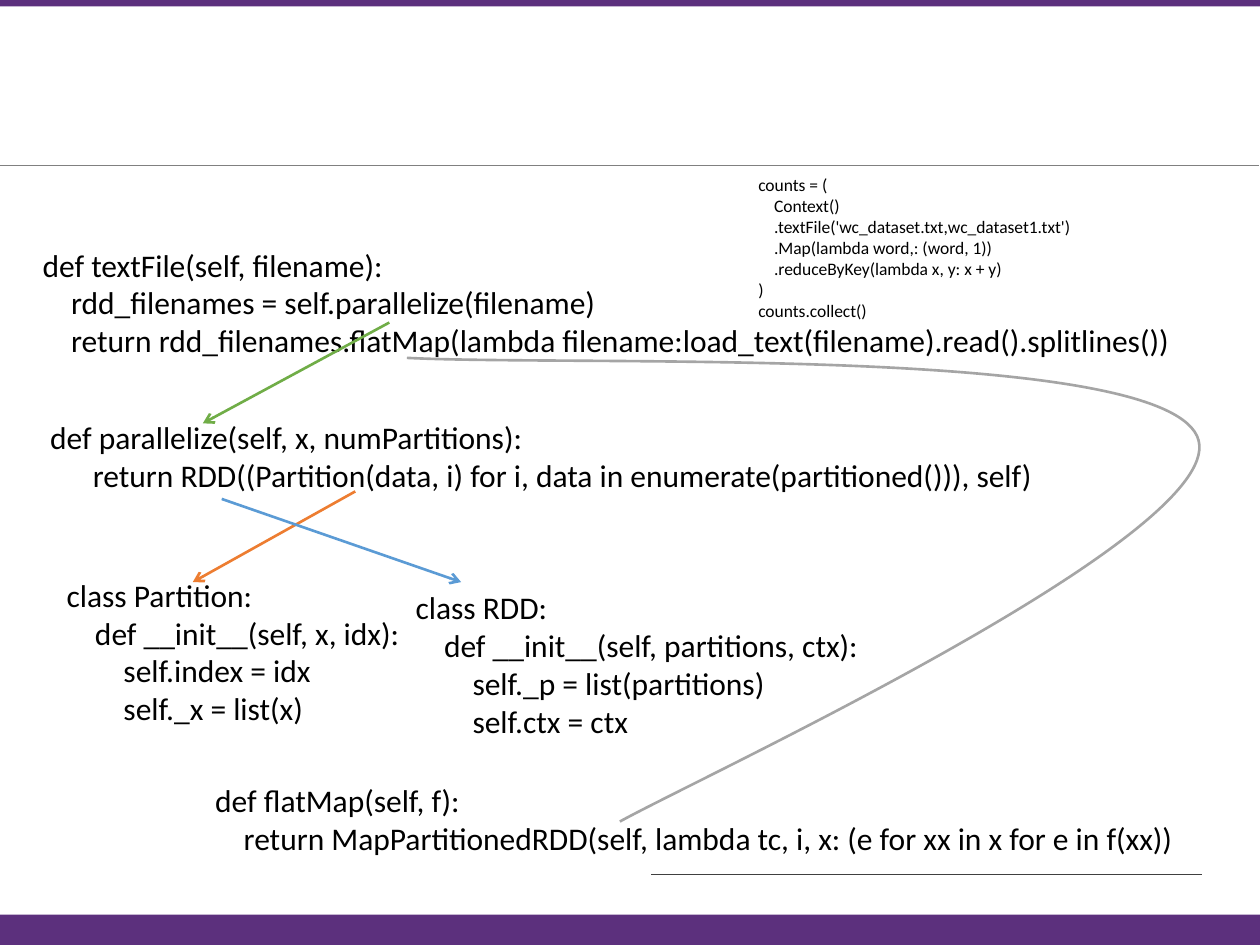
from dataclasses import dataclass

from lxml import etree
from pptx import Presentation
from pptx import util as u
from pptx.dml.color import RGBColor
from pptx.enum import shapes, text
from pptx.oxml.ns import qn


@dataclass(frozen=True)
class Theme:
    font: str = "Calibri"
    code_size: int = 18
    sample_size: int = 10
    space_width: float = 0.226
    ink: str = "000000"
    band: str = "5C307D"
    header_rule: str = "808080"
    footer_rule: str = "404040"
    orange: str = "ED7D31"
    blue: str = "5B9BD5"
    green: str = "70AD47"
    gray: str = "A5A5A5"
    rule_width: float = 0.5
    arrow_width: float = 1.5


THEME = Theme()

TEXT_FILE = """def textFile(self, filename):
    rdd_filenames = self.parallelize(filename)
    return rdd_filenames.flatMap(lambda filename:load_text(filename).read().splitlines())"""

PARALLELIZE = """def parallelize(self, x, numPartitions):
      return RDD((Partition(data, i) for i, data in enumerate(partitioned())), self)"""

PARTITION = """class Partition:
    def __init__(self, x, idx):
        self.index = idx
        self._x = list(x)"""

RDD = """class RDD:
    def __init__(self, partitions, ctx):
        self._p = list(partitions)
        self.ctx = ctx"""

FLAT_MAP = """def flatMap(self, f):
    return MapPartitionedRDD(self, lambda tc, i, x: (e for xx in x for e in f(xx))"""

WORD_COUNT = """counts = (
    Context()
    .textFile('wc_dataset.txt,wc_dataset1.txt')
    .Map(lambda word,: (word, 1))
    .reduceByKey(lambda x, y: x + y)
)
counts.collect()"""


def inches(values):
    return [u.Inches(value) for value in values]


def style_line(line, color, width):
    line.color.rgb = RGBColor.from_string(color)
    line.width = u.Pt(width)


def add_band(slide, top, height):
    band = slide.shapes.add_shape(
        shapes.MSO_SHAPE.RECTANGLE, *inches((0, top, 10, height))
    )
    band.shadow.inherit = False
    band.fill.solid()
    band.fill.fore_color.rgb = RGBColor.from_string(THEME.band)
    band.line.fill.background()


def add_line(slide, start, end, color, width):
    connector = slide.shapes.add_connector(
        shapes.MSO_CONNECTOR.STRAIGHT, *inches(start + end)
    )
    style_line(connector.line, color, width)
    etree.SubElement(connector._element.spPr, qn("a:effectLst"))
    return connector


def add_arrow(slide, start, end, color):
    connector = add_line(slide, start, end, color, THEME.arrow_width)
    outline = connector.line._get_or_add_ln()
    etree.SubElement(outline, qn("a:tailEnd"), type="arrow")


def add_code(slide, box, code, size=THEME.code_size):
    frame = slide.shapes.add_textbox(*inches(box)).text_frame
    frame.word_wrap = True
    frame.auto_size = text.MSO_AUTO_SIZE.SHAPE_TO_FIT_TEXT
    for number, line in enumerate(code.splitlines()):
        paragraph = frame.paragraphs[0] if number == 0 else frame.add_paragraph()
        paragraph.text = line.lstrip()
        paragraph.font.name = THEME.font
        paragraph.font.size = u.Pt(size)
        paragraph.font.color.rgb = RGBColor.from_string(THEME.ink)
        spaces = len(line) - len(paragraph.text)
        margin = u.Pt(spaces * size * THEME.space_width)
        paragraph._p.get_or_add_pPr().set("marL", str(margin))


def add_curve(slide, start, bend, end, segments, color):
    builder = slide.shapes.build_freeform(*inches(start))
    builder.add_line_segments([inches(bend), inches(end)], close=False)
    curve = builder.convert_to_shape()
    curve.shadow.inherit = False
    curve.fill.background()
    style_line(curve.line, color, THEME.arrow_width)
    corners = list(curve._element.iter(qn("a:lnTo")))
    for corner, points in zip(corners, segments):
        bezier = etree.Element(qn("a:cubicBezTo"))
        for x, y in points:
            etree.SubElement(
                bezier,
                qn("a:pt"),
                x=str(u.Inches(x) - curve.left),
                y=str(u.Inches(y) - curve.top),
            )
        corner.getparent().replace(corner, bezier)


def main():
    presentation = Presentation()
    presentation.slide_width, presentation.slide_height = inches((10, 7.5))
    slide = presentation.slides.add_slide(presentation.slide_layouts[6])

    add_band(slide, 0, 0.05)
    add_line(slide, (-0.01, 1.31), (9.99, 1.31), THEME.header_rule, THEME.rule_width)
    add_band(slide, 7.26, 0.24)
    add_line(slide, (5.17, 6.94), (9.54, 6.94), THEME.footer_rule, THEME.rule_width)

    add_code(slide, (0.24, 1.9, 9.68, 1.01), TEXT_FILE)
    add_code(slide, (0.3, 3.27, 9.35, 0.71), PARALLELIZE)
    add_code(slide, (0.43, 4.52, 3.2, 1.31), PARTITION)
    add_code(slide, (3.2, 4.62, 3.94, 1.31), RDD)

    add_arrow(slide, (2.82, 3.9), (1.53, 4.62), THEME.orange)
    add_arrow(slide, (1.76, 3.96), (3.66, 4.62), THEME.blue)
    add_arrow(slide, (3.09, 2.56), (1.61, 3.36), THEME.green)

    add_code(slide, (1.61, 6.15, 7.89, 0.71), FLAT_MAP)
    add_curve(
        slide,
        (3.23, 2.84),
        (9.52, 3.55),
        (4.92, 6.52),
        [
            [(4.58, 2.91), (9.16, 2.73), (9.5, 3.46)],
            [(9.84, 4.19), (5.59, 6.15), (4.92, 6.52)],
        ],
        THEME.gray,
    )
    add_code(slide, (5.92, 1.33, 4, 1.58), WORD_COUNT, THEME.sample_size)

    presentation.save("out.pptx")


if __name__ == "__main__":
    main()
